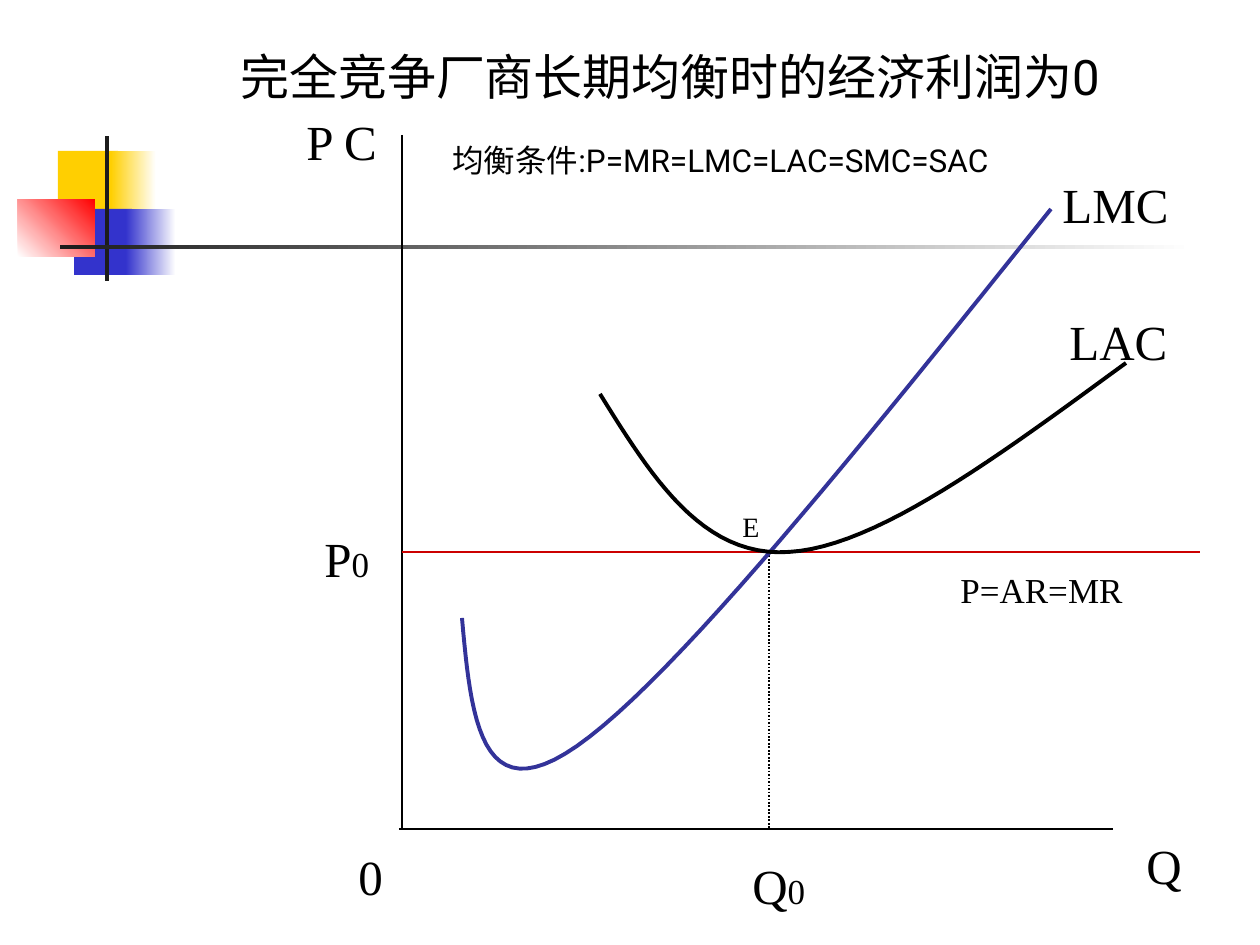
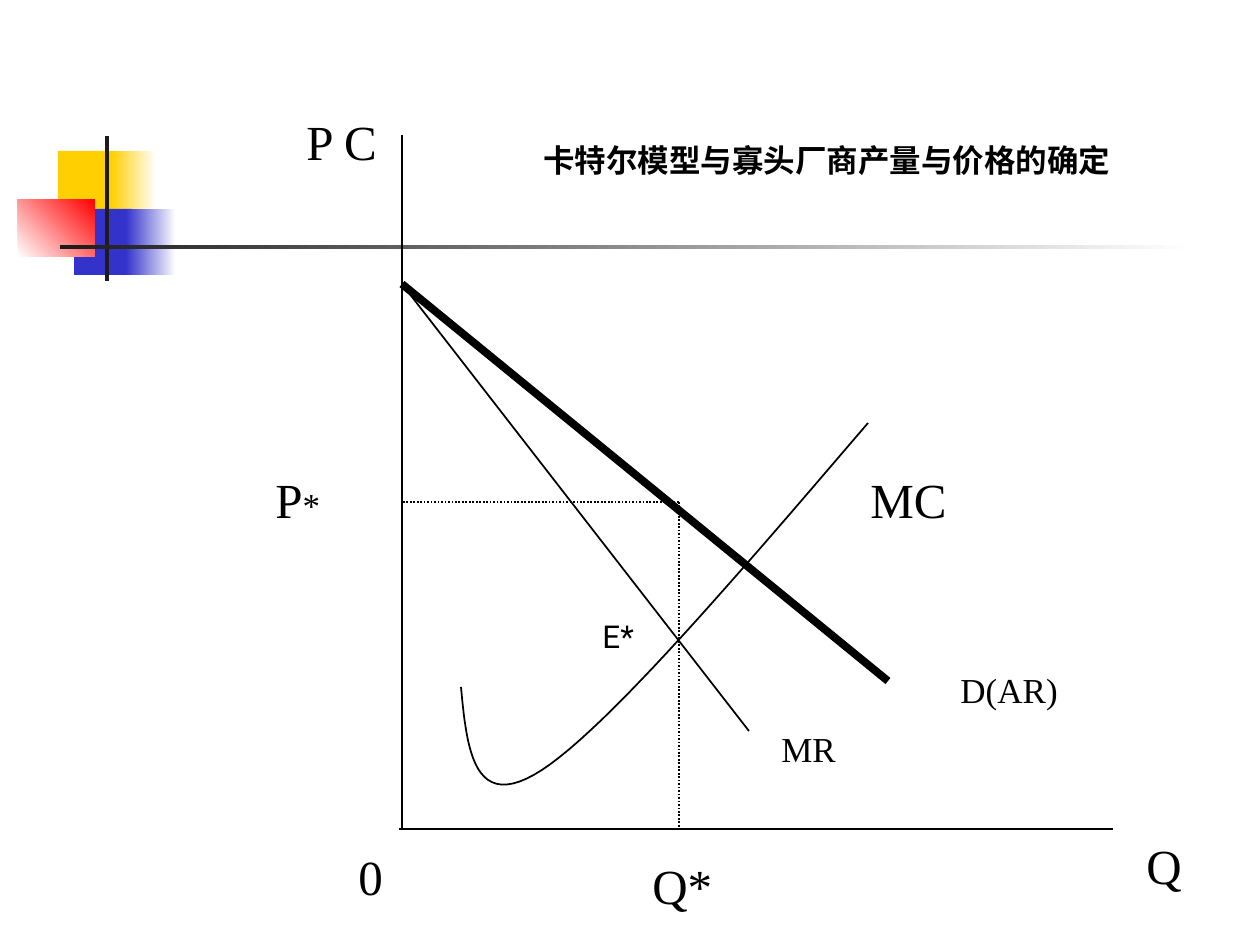
from pptx import Presentation
from pptx.dml.color import RGBColor
from pptx.enum.dml import MSO_LINE
from pptx.enum.shapes import MSO_CONNECTOR, MSO_SHAPE
from pptx.oxml.ns import qn
from pptx.util import Pt
from lxml.etree import SubElement

PX = 914400 / 126
BLACK, WHITE, YELLOW, BLUE = "000000", "FFFFFF", "FFCF01", "3333CC"
RED, DARK, CURVE_BLUE, PRICE_RED = "FF0000", "1C1C1C", "333399", "CC0000"
STEPS = 24  # points drawn on each curve segment


def rgb(value):
    return RGBColor.from_string(value)


def add_text(page, text, left, top, width, height, size=28, font="Times New Roman",
             bold=False, wrap=True, small=""):
    box = page.shapes.add_textbox(*[round(v * PX) for v in (left, top, width, height)])
    box.text_frame.word_wrap = wrap
    para = box.text_frame.paragraphs[0]
    for part, part_size in ((text, size), (small, 20)):
        if part:
            span = para.add_run()
            span.text = part
            span.font.name = font
            span.font.size = Pt(part_size)
            span.font.bold = bold
            span.font.color.rgb = rgb(BLACK)


# Shared band: left, top, width, height, start colour, end colour, angle
BAND = [
    (58, 151, 60, 66, YELLOW, YELLOW, 0),
    (111, 151, 45, 66, YELLOW, WHITE, 0),
    (74, 209, 58, 66, BLUE, BLUE, 0),
    (126, 209, 50, 66, BLUE, WHITE, 0),
    (18, 199, 77, 58, WHITE, RED, 45),
    (105, 136, 4, 145, DARK, DARK, 0),
    (60, 245, 1134, 4, DARK, WHITE, 0),
]

# Shared axes: x1, y1, x2, y2, colour, weight, dotted
AXES = [
    (402, 135, 402, 828, BLACK, 1, False),
    (399, 829, 1113, 829, BLACK, 1, False),
]
AXIS_LABELS = [
    ("Q", 1134, 829, 63, 72, {}),
    ("P C", 294, 105, 147, 72, {}),
    ("0", 346, 840, 84, 72, {}),
]

ROBOTO = {"font": "Roboto", "wrap": False}

# Each diagram: straight lines, curves through Bezier points, labels
DIAGRAMS = [
    {   # Long-run equilibrium under perfect competition
        "lines": [
            (402, 552, 1200, 552, PRICE_RED, 1.5, False),
            (769, 552, 769, 829, BLACK, 1, True),
        ],
        "curves": [
            (CURVE_BLUE, 2.25, [(462, 618), (471, 717), (480, 814), (577, 746),
                                (675, 678), (863, 444), (1051, 209)]),
            (BLACK, 2.25, [(600, 394), (651, 476), (702, 558), (789, 552),
                           (877, 547), (1000, 455), (1126, 363)]),
        ],
        "labels": [
            ("LMC", 1050, 168, 145, 72, {}),
            ("LAC", 1057, 305, 169, 72, {}),
            ("P=AR=MR", 948, 562, 231, 55, {"size": 20}),
            ("P", 312, 522, 84, 72, {"small": "0"}),
            ("Q", 740, 849, 95, 72, {"small": "0"}),
            ("E", 730, 503, 39, 47, {"size": 16}),
            ("完全竞争厂商长期均衡时的经济利润为0", 228, 40, 896, 72, ROBOTO),
            ("均衡条件:P=MR=LMC=LAC=SMC=SAC", 440, 135, 568, 50, {"size": 18, **ROBOTO}),
        ],
    },
    {   # Output and price under a cartel
        "lines": [
            (679, 502, 679, 829, BLACK, 1, True),
            (402, 284, 888, 681, BLACK, 4.5, False),
            (402, 284, 749, 731, BLACK, 1, False),
            (679, 502, 402, 502, BLACK, 1, True),
        ],
        "curves": [
            (BLACK, 1, [(461, 687), (467, 751), (474, 814), (542, 770),
                        (609, 726), (738, 575), (868, 423)]),
        ],
        "labels": [
            ("MC", 858, 463, 105, 72, {}),
            ("D(AR)", 948, 662, 159, 55, {"size": 20}),
            ("Q*", 640, 849, 115, 72, {}),
            ("MR", 769, 721, 129, 55, {"size": 20}),
            ("E*", 590, 611, 59, 50, {"size": 18, **ROBOTO}),
            ("P", 263, 463, 115, 72, {"small": "*"}),
            ("卡特尔模型与寡头厂商产量与价格的确定", 531, 135, 596, 50,
             {"size": 18, "font": "Arial", "bold": True}),
        ],
    },
]

deck = Presentation()
deck.slide_width, deck.slide_height = round(1260 * PX), round(945 * PX)

for diagram in DIAGRAMS:
    page = deck.slides.add_slide(deck.slide_layouts[6])

    # Decorative band
    for left, top, width, height, start, end, angle in BAND:
        block = page.shapes.add_shape(
            MSO_SHAPE.RECTANGLE, *[round(v * PX) for v in (left, top, width, height)])
        block.shadow.inherit = False
        block.line.fill.background()
        if start == end:
            block.fill.solid()
            block.fill.fore_color.rgb = rgb(start)
        else:
            block.fill.gradient()
            block.fill.gradient_angle = angle
            for stop, colour in zip(block.fill.gradient_stops, (start, end)):
                stop.color.rgb = rgb(colour)

    # Axes and straight lines
    for x1, y1, x2, y2, colour, weight, dotted in AXES + diagram["lines"]:
        line = page.shapes.add_connector(
            MSO_CONNECTOR.STRAIGHT, *[round(v * PX) for v in (x1, y1, x2, y2)])
        SubElement(line._element.spPr, qn("a:effectLst"))
        line.line.color.rgb = rgb(colour)
        line.line.width = Pt(weight)
        if dotted:
            line.line.dash_style = MSO_LINE.ROUND_DOT

    # Cost curves, sampled from cubic Bezier segments
    for colour, weight, points in diagram["curves"]:
        samples = [points[0]]
        for first in range(0, len(points) - 1, 3):
            segment = points[first:first + 4]
            for step in range(1, STEPS + 1):
                t = step / STEPS
                weights = ((1 - t) ** 3, 3 * t * (1 - t) ** 2, 3 * t ** 2 * (1 - t), t ** 3)
                samples.append([sum(w * p[axis] for w, p in zip(weights, segment))
                                for axis in (0, 1)])
        vertices = [(round(x * PX), round(y * PX)) for x, y in samples]
        builder = page.shapes.build_freeform(*vertices[0])
        builder.add_line_segments(vertices[1:], close=False)
        curve = builder.convert_to_shape()
        curve.shadow.inherit = False
        curve.fill.background()
        curve.line.color.rgb = rgb(colour)
        curve.line.width = Pt(weight)

    # Labels
    for text, left, top, width, height, style in AXIS_LABELS + diagram["labels"]:
        add_text(page, text, left, top, width, height, **style)

deck.save("out.pptx")
